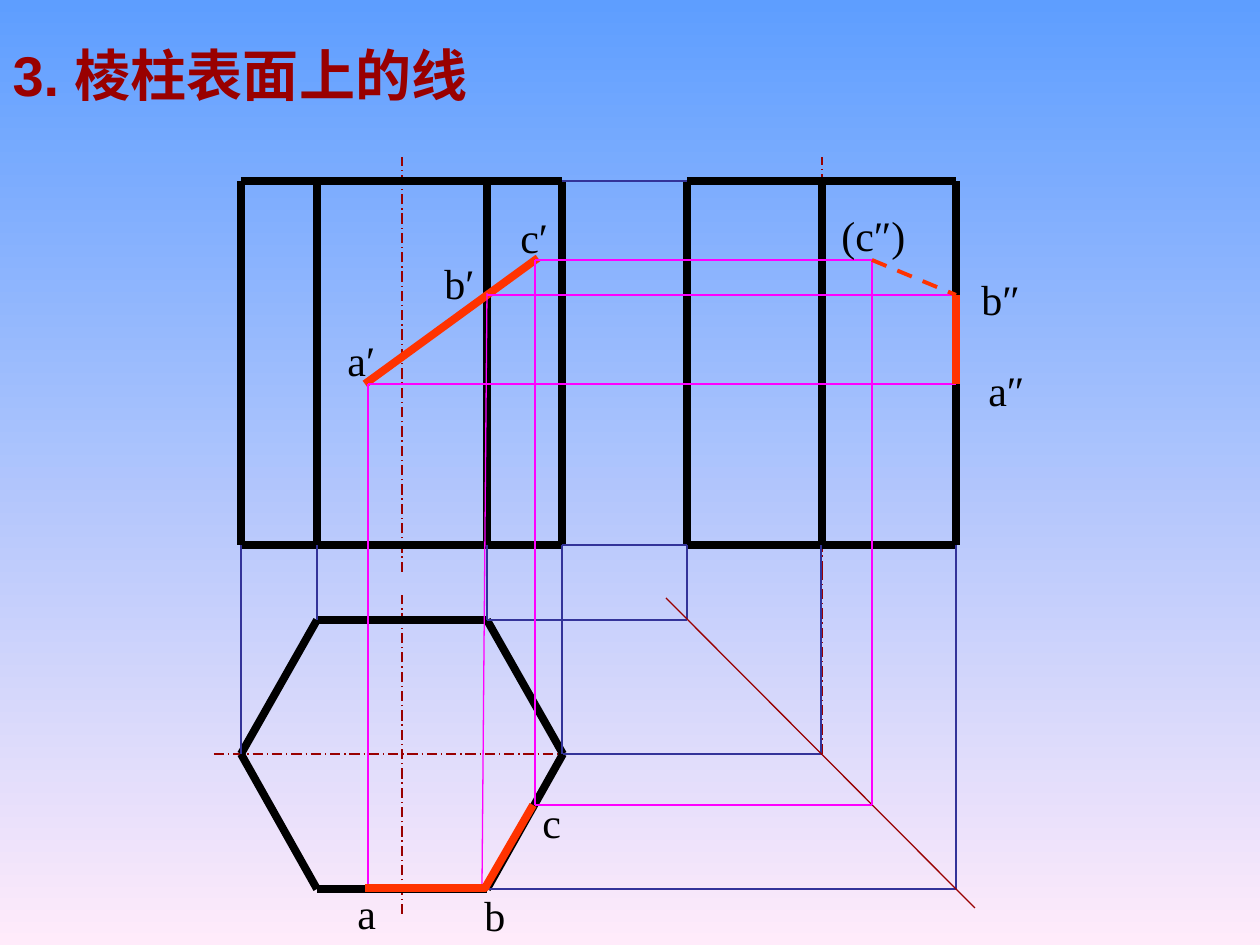
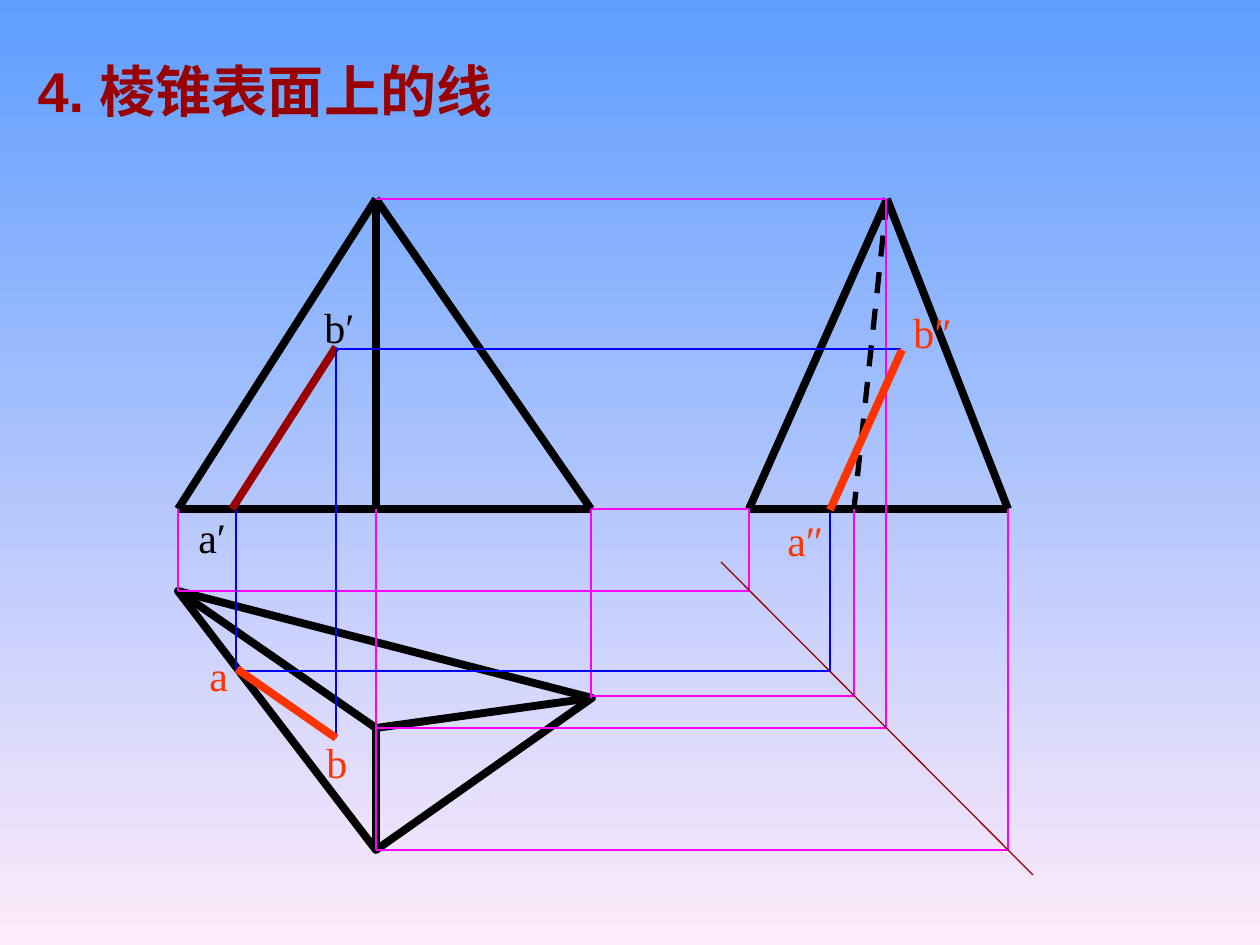
import dataclasses

import lxml.etree
import pptx
import pptx.dml.color
import pptx.enum.dml
import pptx.enum.shapes
import pptx.enum.text
import pptx.oxml.ns
import pptx.util

PX_PER_INCH = 126
DASH = pptx.enum.dml.MSO_LINE.DASH
CHAIN = pptx.enum.dml.MSO_LINE.LONG_DASH_DOT


class Theme:
    sky, blush = "5E9EFF", "FFEBFA"
    maroon, red, black = "990000", "FF3300", "000000"
    navy, blue, magenta = "333399", "0000FF", "FF00FF"
    latin, chinese, label = "Arial", "Noto Sans CJK SC", "Times New Roman"
    title_size, label_size = 32, 24
    thick, hidden_edge, hidden_trace, thin = 4.5, 3, 2.25, 0.75


@dataclasses.dataclass
class Box:
    left: int
    top: int
    width: int
    height: int

    @property
    def right(self):
        return self.left + self.width

    @property
    def bottom(self):
        return self.top + self.height

    def at(self, x, y):
        return self.left + x, self.top + y


def px(length):
    return pptx.util.Emu(round(length * 914400 / PX_PER_INCH))


def rgb(color):
    return pptx.dml.color.RGBColor.from_string(color)


# ---- Shared drawing helpers ----

def format_line(line, color, width, dash=None):
    line.color.rgb = rgb(color)
    line.width = pptx.util.Pt(width)
    if dash is not None:
        line.dash_style = dash


def add_line(slide, start, end, color=Theme.black, width=Theme.thick, dash=None):
    connector = slide.shapes.add_connector(
        pptx.enum.shapes.MSO_CONNECTOR.STRAIGHT,
        *(px(value) for value in (*start, *end)))
    format_line(connector.line, color, width, dash)
    lxml.etree.SubElement(connector._element.spPr, pptx.oxml.ns.qn("a:effectLst"))


def add_lines(slide, segments, **style):
    for start, end in segments:
        add_line(slide, start, end, **style)


def add_outline(slide, points, color=Theme.black, close=False):
    corners = [(px(x), px(y)) for x, y in points]
    builder = slide.shapes.build_freeform(*corners[0])
    builder.add_line_segments(corners[1:], close=close)
    shape = builder.convert_to_shape()
    shape.shadow.inherit = False
    shape.fill.background()
    format_line(shape.line, color, Theme.thick)


def add_text(paragraph, text, font, size, color, bold=False):
    run = paragraph.add_run()
    run.text = text
    run.font.size = pptx.util.Pt(size)
    run.font.bold = bold
    run.font.color.rgb = rgb(color)
    run.font.name = font
    east_asian = lxml.etree.SubElement(
        run._r.get_or_add_rPr(), pptx.oxml.ns.qn("a:ea"))
    east_asian.set("typeface", font)


def add_labels(slide, box, labels, color=Theme.black):
    for text, x, y, width in labels:
        left, top = box.at(x, y)
        text_box = slide.shapes.add_textbox(px(left), px(top), px(width), px(63))
        frame = text_box.text_frame
        frame.word_wrap = True
        frame.auto_size = pptx.enum.text.MSO_AUTO_SIZE.SHAPE_TO_FIT_TEXT
        add_text(frame.paragraphs[0], text, Theme.label, Theme.label_size, color)


def add_titled_slide(presentation, number, heading, box):
    slide = presentation.slides.add_slide(presentation.slide_layouts[5])
    title = slide.shapes.title
    title.left, title.top = px(box.left), px(box.top)
    title.width, title.height = px(box.width), px(box.height)
    frame = title.text_frame
    frame.auto_size = pptx.enum.text.MSO_AUTO_SIZE.NONE
    frame.vertical_anchor = pptx.enum.text.MSO_ANCHOR.MIDDLE
    paragraph = frame.paragraphs[0]
    paragraph.alignment = pptx.enum.text.PP_ALIGN.LEFT
    for text, font in ((number, Theme.latin), (heading, Theme.chinese)):
        add_text(paragraph, text, font, Theme.title_size, Theme.maroon, bold=True)
    return slide


def paint_background(master):
    fill = master.background.fill
    fill.gradient()
    fill.gradient_angle = 270
    for stop, color in zip(fill.gradient_stops, (Theme.sky, Theme.blush)):
        stop.color.rgb = rgb(color)


# ---- Prism ----

PRISM_EDGES = (76, 246)  # inner vertical edges, from the left of the front view


def prism_axes(slide, front, plan, side):
    center, middle = front.left + 161, plan.top + 134
    side_center = side.left + 135
    add_lines(slide, [
        ((plan.left - 27, middle), (plan.right + 30, middle)),
        ((plan.right + 18, middle), (side_center, middle)),
        ((center, plan.bottom + 25), (center, plan.top - 25)),
        ((center, front.bottom + 27), (center, front.top - 24)),
        ((side_center, middle), (side_center, side.bottom + 17)),
        ((side_center, side.bottom + 26), (side_center, side.top - 24)),
    ], color=Theme.maroon, width=Theme.thin, dash=CHAIN)


def prism_elevation(slide, box, edges):
    """Rectangle with vertical edges, seen from the front or the side."""
    add_lines(slide, [((box.left, y), (box.right, y)) for y in (box.top, box.bottom)])
    add_lines(slide, [(box.at(x, 0), box.at(x, box.height))
                      for x in (0, *edges, box.width)])


def prism_plan(slide, box):
    left, right = PRISM_EDGES
    middle = 134
    corners = [box.at(*corner) for corner in (
        (0, middle), (left, 0), (right, 0), (box.width, middle),
        (right, box.height), (left, box.height))]
    add_lines(slide, zip(corners, corners[1:] + corners[:1]))


def prism_projections(slide, front, plan, side):
    mitre = side.left - plan.top
    left, right = (front.left + x for x in PRISM_EDGES)
    middle = plan.top + 134
    rising = [(front.left, middle), (left, plan.top),
              (right, plan.top), (front.right, middle)]
    turning = [(right, plan.top), (plan.right, middle), (right, plan.bottom)]
    segments = [((x, y), (x, front.bottom)) for x, y in rising]
    for x, y in turning:
        corner = (y + mitre, y)
        segments += [((x, y), corner), (corner, (y + mitre, side.bottom))]
    segments += [((front.right, y), (side.left, y)) for y in (front.top, front.bottom)]
    add_lines(slide, segments, color=Theme.navy, width=Theme.thin)
    add_line(slide, (side.right + 19, plan.bottom + 19), (side.left - 21, plan.top - 22),
             color=Theme.maroon, width=Theme.thin)


def prism_trace(slide, front, plan, side):
    """The line a-b-c on the prism, in all three views."""
    a_front, b_front, c_front = front.at(127, 203), front.at(246, 114), front.at(294, 79)
    c_plan = plan.at(294, 185)
    c_turn = (c_plan[1] + side.left - plan.top, c_plan[1])
    c_side = (c_turn[0], c_front[1])
    a_side, b_side = (side.right, a_front[1]), (side.right, b_front[1])
    add_line(slide, front.at(297, 77), front.at(124, 203), color=Theme.red)
    add_lines(slide, [
        (a_front, (a_front[0], plan.bottom)), (front.at(246, 112), plan.at(241, 269)),
        (c_front, c_plan), (c_plan, c_turn), (c_turn, c_side),
        (c_front, c_side), (b_front, b_side), (a_front, a_side),
    ], color=Theme.magenta, width=Theme.thin)
    add_outline(slide, [plan.at(124, 268), plan.at(244, 268), plan.at(292, 185)],
                color=Theme.red)
    add_line(slide, c_side, b_side, color=Theme.red, width=Theme.hidden_trace, dash=DASH)
    add_line(slide, b_side, a_side, color=Theme.red)
    add_labels(slide, front, [("a′", 94, 147, 110), ("b′", 191, 70, 102),
                              ("c′", 267, 24, 87)])
    add_labels(slide, plan, [("a", 104, 261, 55), ("b", 231, 263, 63),
                             ("c", 289, 170, 66)])
    add_labels(slide, side, [("a″", 289, 177, 98), ("b″", 282, 86, 102),
                             ("(c″)", 142, 22, 113)])


def prism_slide(presentation):
    slide = add_titled_slide(presentation, "3. ", "棱柱表面上的线", Box(0, 0, 1260, 149))
    front = Box(241, 181, 321, 364)
    plan = Box(241, 620, 322, 269)
    side = Box(687, 181, 269, 364)
    prism_axes(slide, front, plan, side)
    prism_elevation(slide, front, PRISM_EDGES)
    prism_elevation(slide, side, (135,))
    prism_plan(slide, plan)
    prism_projections(slide, front, plan, side)
    prism_trace(slide, front, plan, side)


# ---- Pyramid ----

APEX_X = 198  # from the left of the front view and of the plan


def pyramid_elevation(slide, box, apex_x):
    apex, left, right = box.at(apex_x, 0), (box.left, box.bottom), (box.right, box.bottom)
    add_lines(slide, [(left, right), (left, apex), (right, apex)])


def pyramid_plan(slide, box):
    left, near, right = box.at(0, 0), box.at(APEX_X, box.height), box.at(box.width, 107)
    apex = box.at(APEX_X, 137)
    add_outline(slide, [left, near, right], close=True)
    add_lines(slide, [(corner, apex) for corner in (left, near, right)])


def pyramid_projections(slide, front, plan, side):
    mitre = side.left - plan.top
    apex_x = front.left + APEX_X
    turning = [  # start of each horizontal and the height where its vertical ends
        (plan.at(0, 0), side.bottom), (plan.at(413, 105), side.bottom),
        (plan.at(APEX_X, 137), side.top), (plan.at(APEX_X, 259), side.bottom)]
    segments = [((x, front.bottom), (x, y)) for x, y in (
        (front.left, plan.top), (apex_x, plan.bottom), (front.right, plan.top + 107))]
    for (x, y), end in turning:
        corner = (y + mitre, y)
        segments += [((x, y), corner), (corner, (y + mitre, end))]
    segments += [((apex_x, front.top), side.at(138, 0)),
                 ((front.right, front.bottom), (side.left, side.bottom))]
    add_lines(slide, segments, color=Theme.magenta, width=Theme.thin)
    add_line(slide, (side.left - 28, plan.top - 29), (side.right + 25, plan.bottom + 25),
             color=Theme.maroon, width=Theme.thin)


def pyramid_trace(slide, front, plan, side):
    """The line a-b on the pyramid, in all three views."""
    a_plan, a_turn = plan.at(58, 80), (side.left + 81, plan.top + 80)
    add_line(slide, front.at(54, 310), front.at(158, 148), color=Theme.maroon)
    add_lines(slide, [
        (front.at(158, 148), plan.at(158, 147)), (front.at(58, 311), a_plan),
        (a_plan, a_turn), (a_turn, side.at(81, 314)),
        (front.at(158, 150), side.at(152, 150)),
    ], color=Theme.blue, width=Theme.thin)
    add_line(slide, plan.at(59, 78), plan.at(158, 147), color=Theme.red)
    add_line(slide, side.at(153, 151), side.at(81, 311), color=Theme.red)
    add_labels(slide, front, [("a′", 8, 306, 112), ("b′", 134, 96, 98)])
    add_labels(slide, plan, [("a", 19, 52, 42), ("b", 136, 139, 72)], color=Theme.red)
    add_labels(slide, side, [("a″", 26, 309, 102), ("b″", 152, 101, 107)],
               color=Theme.red)


def pyramid_slide(presentation):
    slide = add_titled_slide(presentation, "4. ", "棱锥表面上的线", Box(25, 16, 1171, 149))
    front = Box(178, 199, 413, 310)
    plan = Box(178, 591, 414, 259)
    side = Box(749, 199, 259, 310)
    pyramid_elevation(slide, front, APEX_X)
    add_line(slide, front.at(APEX_X, 0), front.at(APEX_X, front.height))
    pyramid_elevation(slide, side, 138)
    add_line(slide, side.at(138, 0), side.at(105, side.height),
             width=Theme.hidden_edge, dash=DASH)
    pyramid_plan(slide, plan)
    pyramid_projections(slide, front, plan, side)
    pyramid_trace(slide, front, plan, side)


def main():
    presentation = pptx.Presentation()
    presentation.slide_width, presentation.slide_height = px(1260), px(945)
    paint_background(presentation.slide_master)
    prism_slide(presentation)
    pyramid_slide(presentation)
    presentation.save("out.pptx")


if __name__ == "__main__":
    main()
